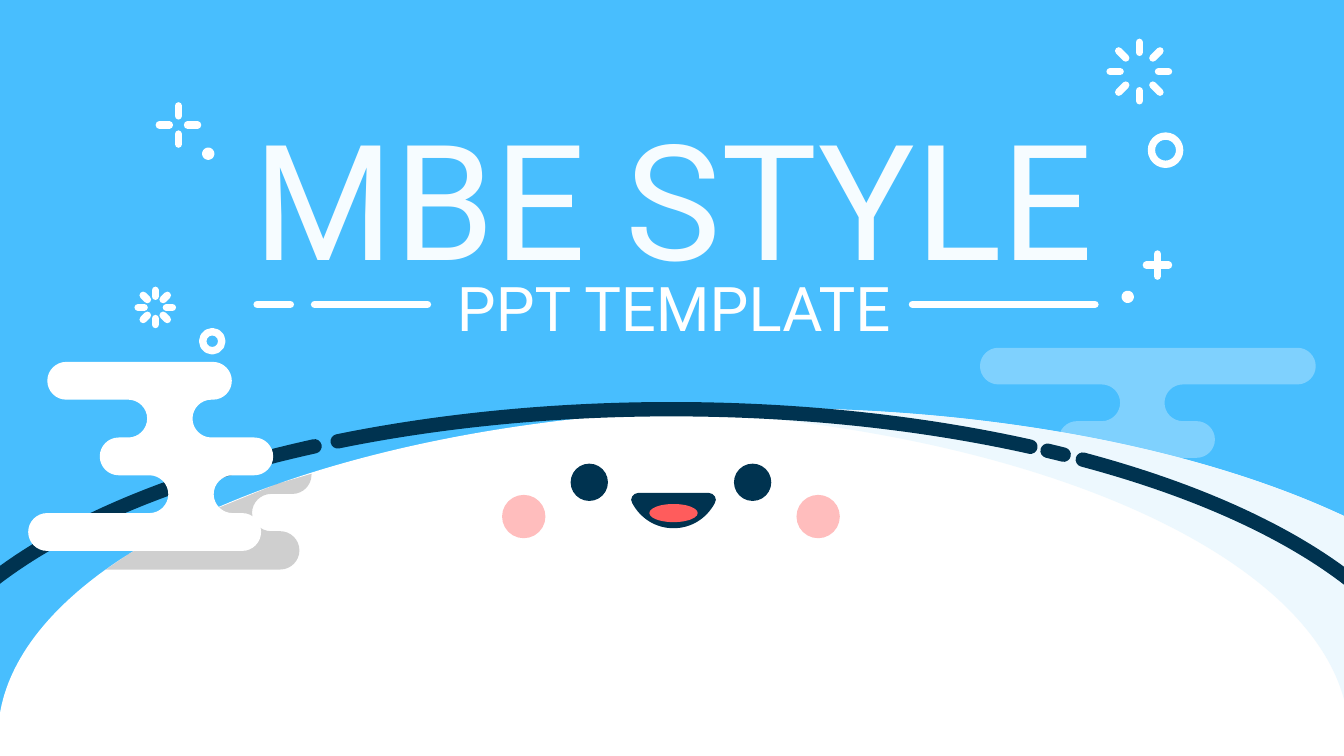
from math import acos, ceil, cos, hypot, pi, sin, tan

from pptx import Presentation
from pptx.dml.color import RGBColor
from pptx.enum.shapes import MSO_CONNECTOR as Link, MSO_SHAPE as Kind
from pptx.enum.text import MSO_ANCHOR as Anchor, MSO_AUTO_SIZE as Fit, PP_ALIGN as Align
from pptx.oxml.ns import qn
from pptx.util import Inches, Pt
from lxml.etree import SubElement

SKY = RGBColor(0x48, 0xBE, 0xFE)
WHITE = RGBColor(0xFF, 0xFF, 0xFF)
BLACK = RGBColor(0, 0, 0)
NAVY = RGBColor(0x00, 0x33, 0x50)
SHADE = RGBColor(0xED, 0xF8, 0xFE)
TONGUE = RGBColor(0xFF, 0x5C, 0x5C)
BLUSH = RGBColor(0xFF, 0xBD, 0xBD)
PALE = RGBColor(0xF6, 0xFC, 0xFF)
ICE = RGBColor(0xC9, 0xEC, 0xFF)

RX, RY = 7.67, 3.26
THIN, THICK = Pt(5.25), Pt(10.25)


def paint(shape, fill=None, line=None, width=THIN, alpha=None):
    shape.shadow.inherit = False
    if fill is None:
        shape.fill.background()
    else:
        shape.fill.solid()
        shape.fill.fore_color.rgb = fill
        if alpha:
            color = shape.fill._xPr.find(qn("a:solidFill"))[0]
            SubElement(color, qn("a:alpha"), val=str(alpha * 1000))
    if line is None:
        shape.line.fill.background()
    else:
        pen(shape.line, line, width)


def pen(line, color, width):
    line.color.rgb = color
    line.width = width
    line._get_or_add_ln().set("cap", "rnd")


def oval(shapes, x, y, w, h, **look):
    shape = shapes.add_shape(Kind.OVAL, Inches(x), Inches(y), Inches(w), Inches(h))
    paint(shape, **look)


def trace(shapes, steps, close=True, **look):
    points = [(Inches(x), Inches(y)) for step in steps for x, y in step]
    form = shapes.build_freeform(*points[0])
    form.add_line_segments(points[1:], close=close)
    shape = form.convert_to_shape()
    lines = iter(list(shape._element.iter(qn("a:lnTo"))))
    for step in steps[1:]:
        curve, *rest = [next(lines) for _ in step]
        if rest:
            curve.tag = qn("a:cubicBezTo")
        for line in rest:
            curve.append(line[0])
            line.getparent().remove(line)
    paint(shape, **look)


def dash(shapes, x1, y1, x2, y2):
    line = shapes.add_connector(
        Link.STRAIGHT, Inches(x1), Inches(y1), Inches(x2), Inches(y2))
    pen(line.line, WHITE, THIN)
    SubElement(line._element.spPr, qn("a:effectLst"))


def burst(shapes, x, y, inner, outer, count):
    for i in range(count):
        c, s = cos(2 * pi * i / count), sin(2 * pi * i / count)
        dash(shapes, x + inner * c, y + inner * s, x + outer * c, y + outer * s)


def arc(x, y, start, end):
    count = ceil(abs(end - start) / (pi / 2))
    turn = (end - start) / count
    pull = 4 / 3 * tan(turn / 4)

    def spot(t, k=0):
        return x + RX * (cos(t) - k * sin(t)), y - RY * (sin(t) + k * cos(t))

    steps = [[spot(start)]]
    for i in range(count):
        a, b = start + i * turn, start + (i + 1) * turn
        steps.append([spot(a, pull), spot(b, -pull), spot(b)])
    return steps


def smooth(corners):
    steps = []
    for i, (x, y, r) in enumerate(corners):
        if not r:
            steps.append([(x, y)])
            continue
        sides = []
        for px, py, _ in (corners[i - 1], corners[(i + 1) % len(corners)]):
            size = hypot(px - x, py - y)
            sides.append(((px - x) / size * r, (py - y) / size * r))
        (ux, uy), (vx, vy) = sides
        steps.append([(x + ux, y + uy)])
        steps.append([(x + 0.45 * ux, y + 0.45 * uy),
                      (x + 0.45 * vx, y + 0.45 * vy), (x + vx, y + vy)])
    return steps


def cloud(shapes, top, tall, bands, **look):
    left, right = [], []
    for i, (x1, x2) in enumerate(bands):
        for y in (top + i * tall, top + (i + 1) * tall):
            left.append((x1, y, tall / 2))
            right.append((x2, y, tall / 2))
    trace(shapes, smooth(right + left[::-1]), **look)


def shadow(shapes):
    r = 0.19
    corners = [(3.09, 4.7, 0), (3.09, 4.9, r), (2.5, 4.9, r), (2.5, 5.27, r),
               (2.97, 5.27, r), (2.97, 5.65, r), (1.05, 5.65, 0), (1.27, 5.5, 0),
               (1.67, 5.27, 0), (2.03, 5.27, 0.13), (2.04, 5.09, 0), (2.75, 4.8, 0)]
    trace(shapes, smooth(corners), fill=BLACK, alpha=19)


def hill(shapes):
    oval(shapes, -0.02, 4.05, 2 * RX, 2 * RY, fill=WHITE)
    outer, inner = acos(-0.97 / RX), acos(0.97 / RX)
    moon = arc(7.65, 7.31, outer, -outer) + arc(5.71, 7.31, -inner, inner)
    trace(shapes, moon, fill=SHADE)
    mid = 6.66
    for x1, x2 in ((10.74, 1.72), (10.39, 10.55), (3.35, 10.22), (1.96, 3.12)):
        start, end = acos((x1 - mid) / RX), acos((x2 - mid) / RX)
        if end > start:
            end -= 2 * pi
        trace(shapes, arc(mid, 7.32, start, end), close=False, line=NAVY, width=THICK)


def face(shapes):
    for x in (5.66, 7.28):
        oval(shapes, x, 4.6, 0.37, 0.37, fill=NAVY)
    mouth = [[(6.33, 4.89)],
             [(6.28, 4.89), (6.24, 4.95), (6.27, 4.99)],
             [(6.35, 5.14), (6.5, 5.24), (6.68, 5.24)],
             [(6.86, 5.24), (7.01, 5.14), (7.09, 4.99)],
             [(7.12, 4.95), (7.08, 4.89), (7.03, 4.89)]]
    trace(shapes, mouth, fill=NAVY)
    oval(shapes, 6.44, 5, 0.48, 0.18, fill=TONGUE)
    for x in (4.98, 7.9):
        oval(shapes, x, 4.91, 0.43, 0.43, fill=BLUSH)


def write(holder, text, x, y, w, h, size):
    holder.left, holder.top = Inches(x), Inches(y)
    holder.width, holder.height = Inches(w), Inches(h)
    frame = holder.text_frame
    frame.text = text
    frame.word_wrap = False
    frame.auto_size = Fit.SHAPE_TO_FIT_TEXT
    frame.vertical_anchor = Anchor.TOP
    para = frame.paragraphs[0]
    para.alignment = Align.CENTER
    para.space_before = Pt(0)
    para.font.name = "Roboto"
    para.font.size = Pt(size)
    return para.font


def main():
    """Build the cover slide and save it."""
    deck = Presentation()
    deck.slide_width, deck.slide_height = Inches(13.33), Inches(7.5)
    slide = deck.slides.add_slide(deck.slide_layouts[0])
    slide.background.fill.solid()
    slide.background.fill.fore_color.rgb = SKY
    shapes = slide.shapes

    font = write(shapes.title, "MBE STYLE", 2.23, 0.94, 8.9, 2.04, 115)
    font.fill.gradient()
    font.fill.gradient_angle = 270
    for stop, color in zip(font.fill.gradient_stops, (PALE, ICE)):
        stop.color.rgb = color
    font = write(slide.placeholders[1], "PPT TEMPLATE", 4.36, 2.63, 4.65, 0.84, 44)
    font.color.rgb = WHITE

    cloud(shapes, 3.45, 0.364, [(9.72, 13.05), (11.11, 11.55), (10.5, 12.05),
                                (10.91, 11.35), (9.96, 11.73)], fill=WHITE, alpha=30)
    hill(shapes)
    face(shapes)
    shadow(shapes)
    cloud(shapes, 3.59, 0.375, [(0.47, 2.3), (1.46, 1.91), (0.99, 2.71),
                                (1.67, 2.12), (0.28, 2.59)], fill=WHITE)

    for x1, x2 in ((2.55, 2.88), (3.12, 4.24), (9.05, 10.86)):
        dash(shapes, x1, 3.02, x2, 3.02)
    burst(shapes, 1.77, 1.24, 0.09, 0.19, 4)
    burst(shapes, 1.54, 3.05, 0.11, 0.17, 8)
    burst(shapes, 11.3, 0.71, 0.19, 0.29, 8)
    dash(shapes, 11.37, 2.63, 11.59, 2.63)
    dash(shapes, 11.48, 2.52, 11.48, 2.74)
    for x, y, size in ((2.01, 3.29, 0.19), (11.16, 2.92, 0.05),
                       (2.04, 1.5, 0.05), (11.42, 1.35, 0.28)):
        oval(shapes, x, y, size, size, line=WHITE)
    deck.save("out.pptx")


if __name__ == "__main__":
    main()
